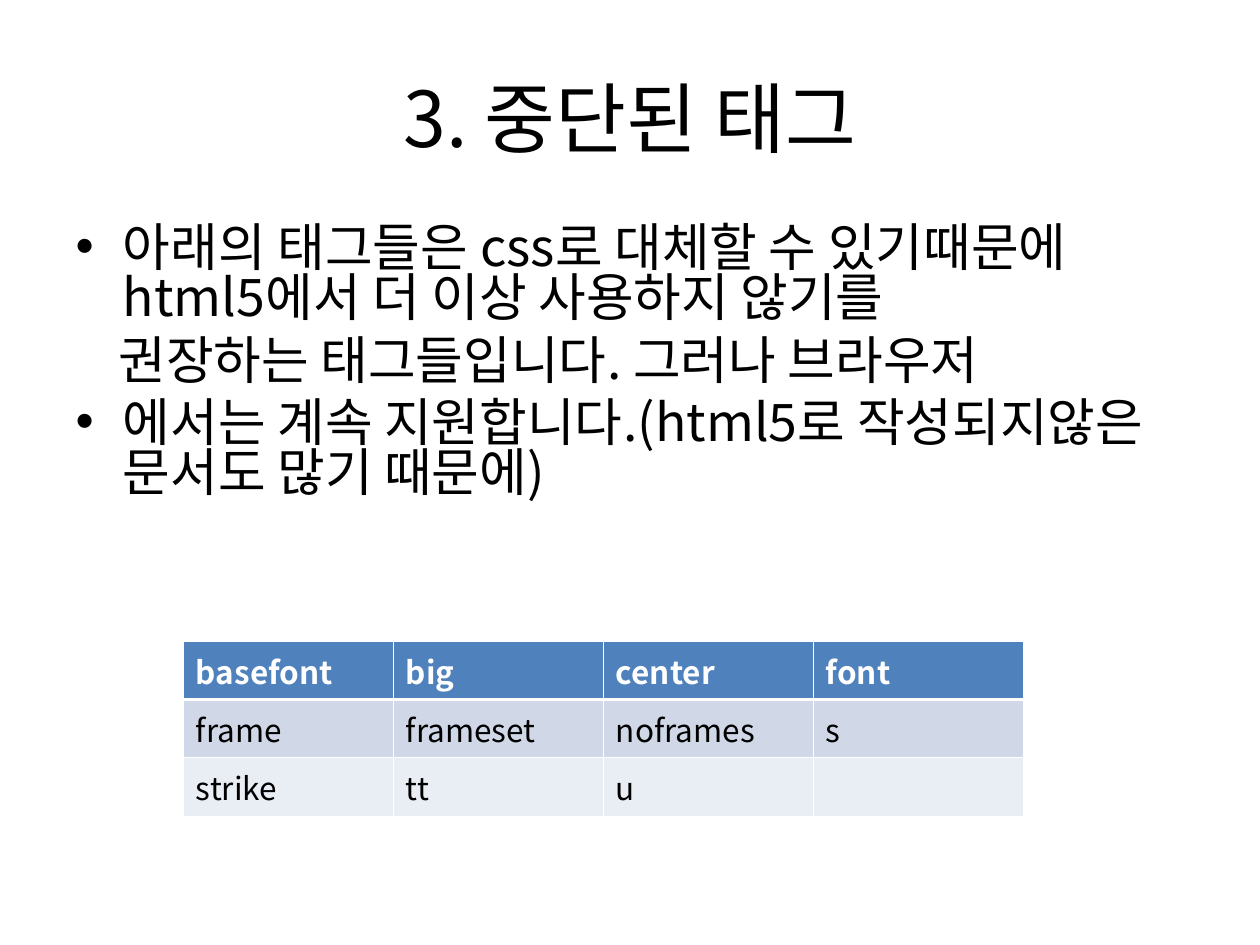
from lxml import etree
from pptx import Presentation
from pptx.dml.color import RGBColor
from pptx.enum.text import MSO_ANCHOR, MSO_AUTO_SIZE, PP_ALIGN
from pptx.oxml.ns import qn
from pptx.util import Pt

FONT = "Noto Sans CJK KR"
BLACK, WHITE = "000000", "FFFFFF"
MIDDLE, TOP = MSO_ANCHOR.MIDDLE, MSO_ANCHOR.TOP
NO_AUTOFIT = MSO_AUTO_SIZE.NONE
CENTER, LEFT = PP_ALIGN.CENTER, PP_ALIGN.LEFT

TITLE_LAYOUT = 1
HANGING = 27
UNBULLETED_INDENT = 24.5
THIN, THICK = 0.45, 1.47

BODY = [
    ("아래의 태그들은 css로 대체할 수 있기때문에 html5에서 더 이상 사용하지 않기를", True),
    ("권장하는 태그들입니다. 그러나 브라우저", False),
    ("에서는 계속 지원합니다.(html5로 작성되지않은 문서도 많기 때문에)", True),
]
TAGS = [
    ["basefont", "big", "center", "font"],
    ["frame", "frameset", "noframes", "s"],
    ["strike", "tt", "u", ""],
]
ROW_FILLS = ["4F81BD", "D0D8E8", "E9EDF4"]


def color(value):
    return RGBColor.from_string(value)


def add_run(paragraph, text, size, text_color=BLACK, bold=False):
    run = paragraph.add_run()
    run.text = text
    run.font.size = Pt(size)
    run.font.bold = bold
    run.font.color.rgb = color(text_color)
    run.font.name = FONT


def place(shape, box):
    shape.left, shape.top, shape.width, shape.height = (Pt(v) for v in box)


def set_bullet(paragraph, bulleted):
    properties = paragraph._p.get_or_add_pPr()
    indent = HANGING if bulleted else UNBULLETED_INDENT
    properties.set("marL", str(Pt(indent)))
    properties.set("indent", str(Pt(-HANGING if bulleted else 0)))
    if bulleted:
        bullet_color = etree.SubElement(properties, qn("a:buClr"))
        etree.SubElement(bullet_color, qn("a:srgbClr")).set("val", BLACK)
        etree.SubElement(properties, qn("a:buFont")).set("typeface", "Arial")
        etree.SubElement(properties, qn("a:buChar")).set("char", "•")
    else:
        etree.SubElement(properties, qn("a:buNone"))


def fill_title(shape, box):
    place(shape, box)
    frame = shape.text_frame
    frame.auto_size = NO_AUTOFIT
    frame.vertical_anchor = MIDDLE
    paragraph = frame.paragraphs[0]
    paragraph.alignment = CENTER
    add_run(paragraph, "3. 중단된 태그", 44)


def fill_body(shape, box):
    place(shape, box)
    frame = shape.text_frame
    frame.auto_size = NO_AUTOFIT
    frame.vertical_anchor = TOP
    for index, (text, bulleted) in enumerate(BODY):
        paragraph = frame.add_paragraph() if index else frame.paragraphs[0]
        set_bullet(paragraph, bulleted)
        paragraph.alignment = LEFT
        paragraph.line_spacing = 0.8
        paragraph.space_before = Pt(7.5 if index else 0)
        add_run(paragraph, text, 29.6)


def set_borders(cell, top, bottom):
    properties = cell._tc.get_or_add_tcPr()
    sides = [("L", THIN), ("R", THIN), ("T", top), ("B", bottom)]
    for position, (side, width) in enumerate(sides):
        line = etree.Element(qn("a:ln" + side), w=str(Pt(width)))
        solid = etree.SubElement(line, qn("a:solidFill"))
        etree.SubElement(solid, qn("a:srgbClr")).set("val", WHITE)
        properties.insert(position, line)


def add_tag_table(slide, box):
    rows, columns = len(TAGS), len(TAGS[0])
    left, top, width, height = box
    table = slide.shapes.add_table(
        rows, columns, Pt(left), Pt(top), Pt(width), Pt(height)).table
    for column in table.columns:
        column.width = Pt(width / columns)
    for row_index, (tags, row_fill) in enumerate(zip(TAGS, ROW_FILLS)):
        table.rows[row_index].height = Pt(height / rows)
        header = row_index == 0
        for column_index, tag in enumerate(tags):
            cell = table.cell(row_index, column_index)
            cell.fill.solid()
            cell.fill.fore_color.rgb = color(row_fill)
            # A heavier rule separates the header from the rows below it
            set_borders(cell, THICK if row_index == 1 else THIN,
                        THICK if header else THIN)
            if tag:
                add_run(cell.text_frame.paragraphs[0], tag, 18,
                        WHITE if header else BLACK, header)


def main():
    presentation = Presentation()
    presentation.slide_width, presentation.slide_height = Pt(720), Pt(540)
    slide = presentation.slides.add_slide(
        presentation.slide_layouts[TITLE_LAYOUT])

    # Heading and explanation
    fill_title(slide.shapes.title, (36, 21.6, 648, 90))
    fill_body(slide.placeholders[1], (36, 126, 648, 201))

    # Discontinued tags
    add_tag_table(slide, (104.8, 366.5, 480, 99))

    presentation.save("out.pptx")


if __name__ == "__main__":
    main()
